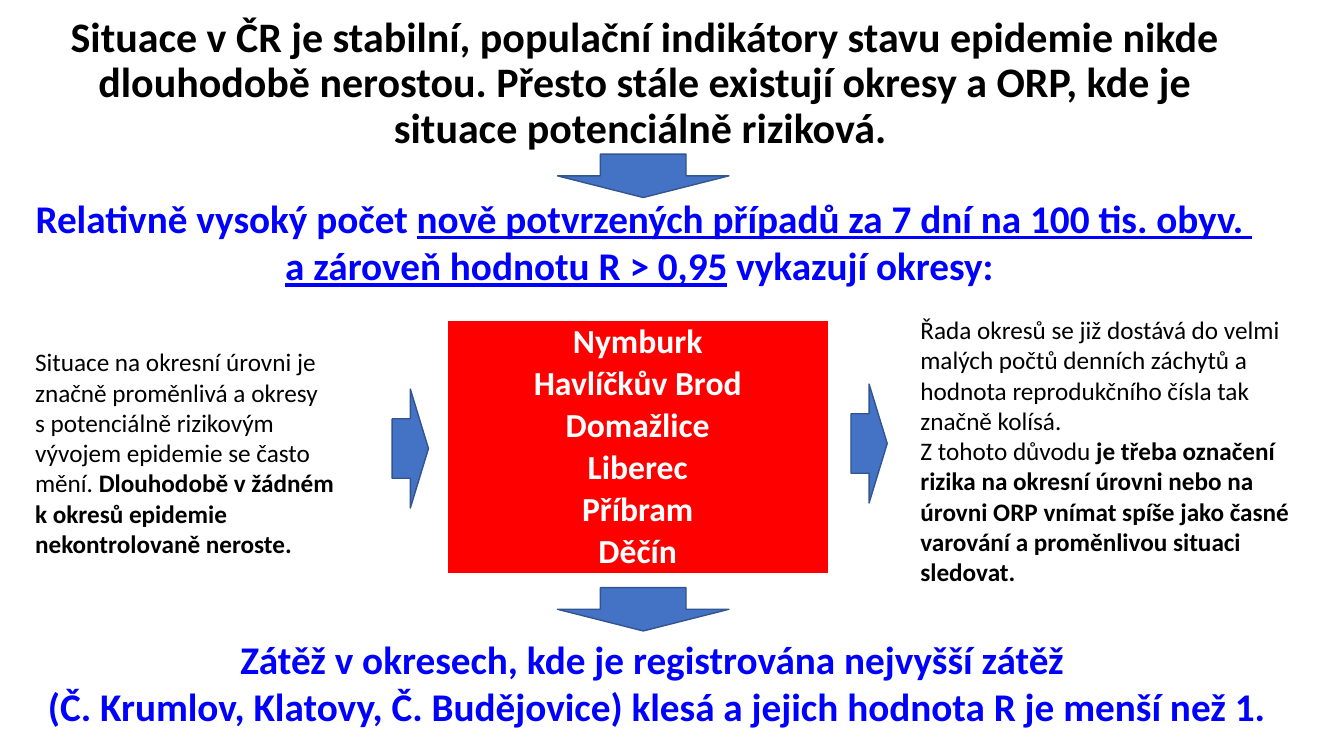
from dataclasses import dataclass

from pptx import Presentation
from pptx.dml.color import RGBColor
from pptx.enum.shapes import MSO_SHAPE as Preset
from pptx.enum.text import MSO_ANCHOR as Anchor, MSO_AUTO_SIZE as AutoSize, PP_ALIGN as Align
from pptx.oxml.ns import qn
from pptx.slide import Slide
from pptx.text.text import _Paragraph as Paragraph
from pptx.util import Inches, Pt

FONT = "Calibri"
BLACK = RGBColor(0x00, 0x00, 0x00)
WHITE = RGBColor(0xFF, 0xFF, 0xFF)
RED = RGBColor(0xFF, 0x00, 0x00)
BLUE = RGBColor(0x00, 0x00, 0xFF)
ARROW_FILL = RGBColor(0x44, 0x72, 0xC4)
ARROW_LINE = RGBColor(0x32, 0x54, 0x91)
NO_GRID_STYLE = "{2D5ABB26-0587-4C30-8999-92F81FD0307C}"

Box = tuple[float, float, float, float]


@dataclass(frozen=True)
class Piece:
    text: str
    bold: bool = False
    underline: bool = False


@dataclass(frozen=True)
class TextBlock:
    box: Box
    size: int
    color: RGBColor
    align: Align
    paragraphs: list[list[Piece]]
    line_spacing: float | None = None
    anchor: Anchor = Anchor.TOP
    auto_size: AutoSize = AutoSize.SHAPE_TO_FIT_TEXT


@dataclass(frozen=True)
class Arrow:
    preset: Preset
    box: Box


TEXT_BLOCKS = [
    TextBlock((0.25, 0.08, 12.3, 1.51), 30, BLACK, Align.CENTER, [
        [Piece("Situace v ČR je stabilní, populační indikátory stavu epidemie nikde "
               "dlouhodobě nerostou. Přesto stále existují okresy a ORP, kde je "
               "situace potenciálně riziková. ", bold=True)],
    ], line_spacing=0.9, anchor=Anchor.MIDDLE, auto_size=AutoSize.NONE),
    TextBlock((-0.13, 1.88, 13.03, 1.04), 28, BLUE, Align.CENTER, [
        [Piece("Relativně vysoký počet ", bold=True),
         Piece("nově potvrzených případů za 7 dní na 100 tis. obyv. ", bold=True, underline=True)],
        [Piece("a zároveň hodnotu R > 0,95", bold=True, underline=True),
         Piece(" vykazují okresy: ", bold=True)],
    ]),
    TextBlock((0.25, 3.39, 3.26, 2.22), 18, BLACK, Align.LEFT, [
        [Piece("Situace na okresní úrovni je značně proměnlivá a okresy")],
        [Piece("s potenciálně rizikovým vývojem epidemie se často mění. "),
         Piece("Dlouhodobě v žádném k okresů epidemie nekontrolovaně neroste.", bold=True)],
    ]),
    TextBlock((9.03, 3.07, 4.21, 2.83), 18, BLACK, Align.LEFT, [
        [Piece("Řada okresů se již dostává do velmi malých počtů denních záchytů "
               "a hodnota reprodukčního čísla tak značně kolísá.")],
        [Piece("Z tohoto důvodu "),
         Piece("je třeba označení rizika na okresní úrovni nebo na úrovni ORP vnímat "
               "spíše jako časné varování a proměnlivou situaci sledovat.", bold=True)],
    ]),
    TextBlock((0.17, 6.25, 12.68, 1.04), 28, BLUE, Align.CENTER, [
        [Piece("Zátěž v okresech, kde je registrována nejvyšší zátěž ", bold=True)],
        [Piece("(Č. Krumlov, Klatovy, Č. Budějovice) klesá a jejich hodnota R je menší než 1.",
               bold=True)],
    ]),
]

ARROWS = [
    Arrow(Preset.DOWN_ARROW, (5.53, 1.53, 1.7, 0.43)),
    Arrow(Preset.DOWN_ARROW, (5.53, 5.83, 1.7, 0.43)),
    Arrow(Preset.RIGHT_ARROW, (3.89, 3.86, 0.36, 1.18)),
    Arrow(Preset.RIGHT_ARROW, (8.44, 3.81, 0.36, 1.18)),
]

DISTRICTS = ["Nymburk", "Havlíčkův Brod", "Domažlice", "Liberec", "Příbram", "Děčín"]
DISTRICT_BOX: Box = (4.44, 3.18, 3.77, 2.46)


def inches(box: Box) -> list[Inches]:
    return [Inches(length) for length in box]


def add_piece(paragraph: Paragraph, piece: Piece, size: int, color: RGBColor) -> None:
    run = paragraph.add_run()
    run.text = piece.text
    font = run.font
    font.name = FONT
    font.size = Pt(size)
    font.bold = piece.bold
    font.underline = piece.underline
    font.color.rgb = color


def add_text_block(slide: Slide, block: TextBlock) -> None:
    frame = slide.shapes.add_textbox(*inches(block.box)).text_frame
    frame.word_wrap = True
    frame.auto_size = block.auto_size
    frame.vertical_anchor = block.anchor
    for index, pieces in enumerate(block.paragraphs):
        paragraph = frame.add_paragraph() if index else frame.paragraphs[0]
        paragraph.alignment = block.align
        paragraph.line_spacing = block.line_spacing
        for piece in pieces:
            add_piece(paragraph, piece, block.size, block.color)


def add_arrow(slide: Slide, arrow: Arrow) -> None:
    shape = slide.shapes.add_shape(arrow.preset, *inches(arrow.box))
    shape.shadow.inherit = False
    shape.fill.solid()
    shape.fill.fore_color.rgb = ARROW_FILL
    shape.line.color.rgb = ARROW_LINE
    shape.line.width = Pt(1)


def add_district_table(slide: Slide) -> None:
    graphic_frame = slide.shapes.add_table(len(DISTRICTS), 1, *inches(DISTRICT_BOX))
    graphic_frame.element.find(f".//{qn('a:tableStyleId')}").text = NO_GRID_STYLE
    table = graphic_frame.table
    table.first_row = False
    table.horz_banding = False
    for row, district in enumerate(DISTRICTS):
        cell = table.cell(row, 0)
        cell.fill.solid()
        cell.fill.fore_color.rgb = RED
        cell.margin_left = cell.margin_right = cell.margin_top = Inches(0.01)
        cell.margin_bottom = Inches(0)
        cell.vertical_anchor = Anchor.MIDDLE
        paragraph = cell.text_frame.paragraphs[0]
        paragraph.alignment = Align.CENTER
        add_piece(paragraph, Piece(district, bold=True), 24, WHITE)


def main() -> None:
    presentation = Presentation()
    presentation.slide_width = Inches(13.33)
    presentation.slide_height = Inches(7.5)
    slide = presentation.slides.add_slide(presentation.slide_layouts[6])
    for arrow in ARROWS:
        add_arrow(slide, arrow)
    add_district_table(slide)
    for block in TEXT_BLOCKS:
        add_text_block(slide, block)
    presentation.save("out.pptx")


if __name__ == "__main__":
    main()
